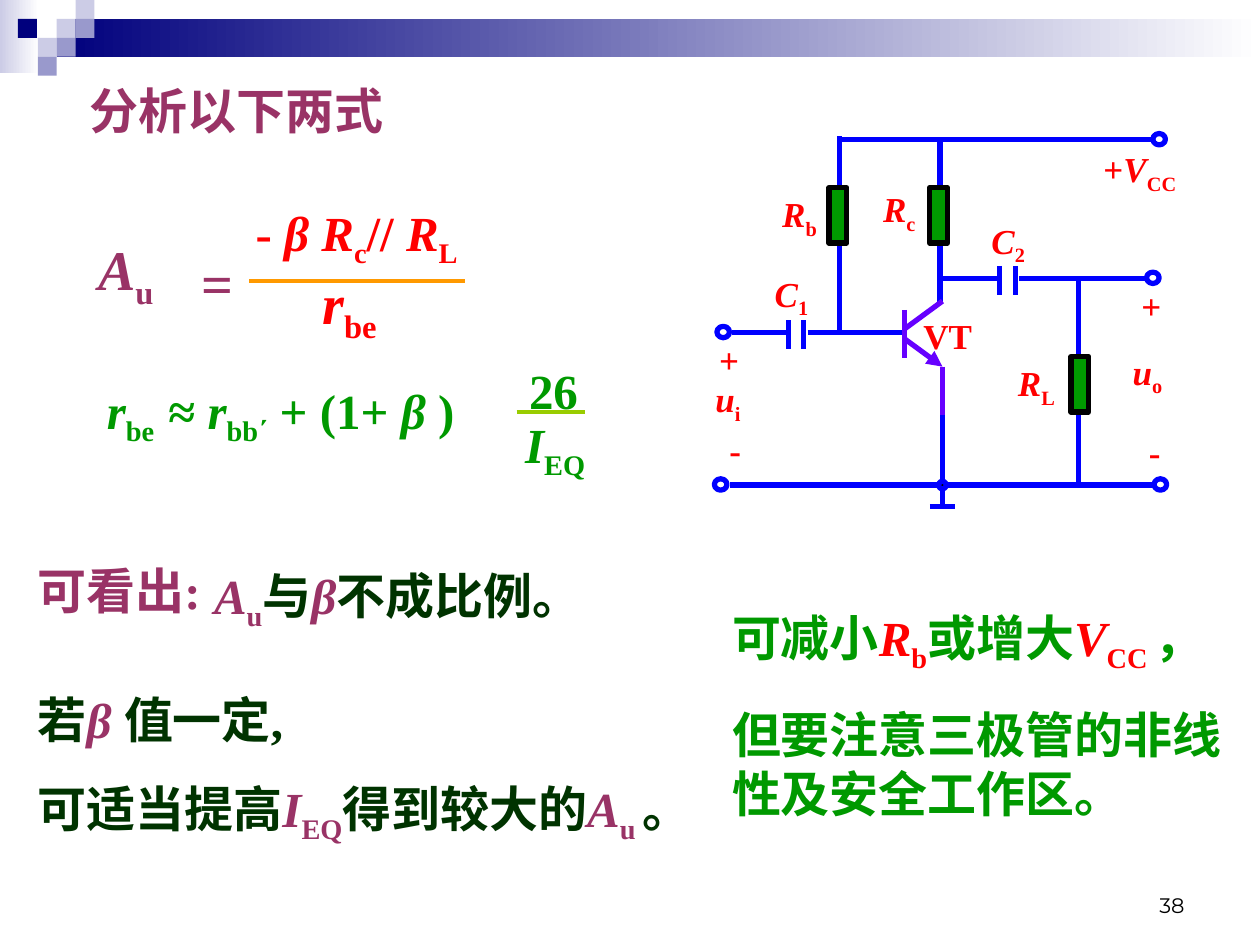
from lxml.etree import SubElement
from pptx import Presentation
from pptx.dml.color import RGBColor
from pptx.enum.shapes import MSO_CONNECTOR, MSO_SHAPE
from pptx.enum.text import MSO_ANCHOR, MSO_AUTO_SIZE, PP_ALIGN
from pptx.oxml.ns import qn
from pptx.util import Inches, Pt

COLORS = {
    "navy": "00007D", "lavender": "CCCCE6", "periwinkle": "9999CC",
    "white": "FFFFFF", "black": "000000", "plum": "993366", "red": "FF0000",
    "orange": "FF9900", "green": "009900", "lime": "99CC00",
    "forest": "003300", "blue": "0000FF", "violet": "6600FF",
}
SLIDE_WIDTH, SLIDE_HEIGHT = Inches(10), Inches(7.5)
COLUMN, ROW = SLIDE_WIDTH / 100, SLIDE_HEIGHT / 75
ITALIC = {"italic": True}
SUB = {"lowered": True}


def color(name):
    return RGBColor.from_string(COLORS[name])


def place(box, column, row):
    return round((box[0] + column) * COLUMN), round((box[1] + row) * ROW)


def frame(box, at):
    return *place(box, *at[:2]), round(at[2] * COLUMN), round(at[3] * ROW)


def add_span(para, text, size=28, ink="black", font="Times New Roman",
             bold=True, italic=False, lowered=False):
    span = para.add_run()
    span.text = text
    span.font.name = font
    span.font.size = Pt(size)
    span.font.bold = bold
    span.font.italic = italic
    span.font.color.rgb = color(ink)
    if lowered:
        span._r.get_or_add_rPr().set("baseline", "-25000")


def fill_text(shape, paragraphs, align=PP_ALIGN.LEFT, anchor=MSO_ANCHOR.TOP, **style):
    text_frame = shape.text_frame
    text_frame.word_wrap = True
    text_frame.auto_size = MSO_AUTO_SIZE.NONE
    text_frame.vertical_anchor = anchor
    for index, spans in enumerate(paragraphs):
        para = text_frame.add_paragraph() if index else text_frame.paragraphs[0]
        properties = para._p.get_or_add_pPr()
        properties.set("marL", "0")
        properties.set("indent", "0")
        SubElement(properties, qn("a:buNone"))
        para.alignment = align
        para.space_before = Pt(17.5 if index else 0)
        for text, changes in spans:
            add_span(para, text, **{**style, **changes})


def add_text(page, box, at, spans, **style):
    fill_text(page.shapes.add_textbox(*frame(box, at)), [spans], **style)


def fill_placeholder(shape, box, paragraphs, **style):
    shape.left, shape.top, shape.width, shape.height = frame((0, 0), box)
    fill_text(shape, paragraphs, **style)


def add_block(page, box, at, kind=MSO_SHAPE.RECTANGLE, fill=None, fade=False, edge=None):
    block = page.shapes.add_shape(kind, *frame(box, at))
    block.shadow.inherit = False
    if fade:
        block.fill.gradient()
        block.fill.gradient_angle = 0
        for stop, name in zip(block.fill.gradient_stops, (fill, "white")):
            stop.color.rgb = color(name)
    elif fill:
        block.fill.solid()
        block.fill.fore_color.rgb = color(fill)
    else:
        block.fill.background()
    if edge:
        block.line.color.rgb = color(edge)
        block.line.width = Pt(3)
    else:
        block.line.fill.background()


def add_line(page, box, ends, ink="blue", width=3, arrow=False):
    start, end = place(box, *ends[:2]), place(box, *ends[2:])
    line = page.shapes.add_connector(MSO_CONNECTOR.STRAIGHT, *start, *end)
    line.line.color.rgb = color(ink)
    line.line.width = Pt(width)
    properties = line._element.spPr
    if arrow:
        SubElement(properties.find(qn("a:ln")), qn("a:tailEnd"), type="triangle")
    SubElement(properties, qn("a:effectLst"))


def draw_header(page, box):
    tile = 1.5
    add_block(page, box, (0, 0, 3.1, 5.8), fill="lavender", fade=True)
    add_block(page, box, (3 * tile, tile, 95.5, 2 * tile), fill="navy", fade=True)
    tiles = [(3, 1, "lavender"), (4, 0, "lavender"), (4, 1, "periwinkle"),
             (2, 2, "lavender"), (0.95, 1, "navy"), (3, 2, "periwinkle"),
             (2, 3, "periwinkle")]
    for column, row, name in tiles:
        add_block(page, box, (column * tile, row * tile, tile, tile), fill=name)


def draw_gain_formula(page, box):
    add_text(page, box, (0, 2.5, 8.2, 7.1), [("A", ITALIC), ("u", SUB)], size=32, ink="plum")
    add_text(page, box, (8.2, 3.6, 5, 6.4), [("=", {})], size=32, ink="plum")
    add_text(page, box, (12.5, 0, 22.8, 6.3),
             [("- ", {}), ("β R", ITALIC), ("c", SUB), ("// ", {}), ("R", ITALIC), ("L", SUB)],
             ink="red")
    add_text(page, box, (17.8, 5.2, 8.4, 7.1), [("r", ITALIC), ("be", SUB)], size=32, ink="red")
    add_line(page, box, (13, 6.7, 30.1, 6.7), ink="orange", width=2.25)


def draw_resistance_formula(page, box):
    add_text(page, box, (0, 1.6, 35.7, 6.3),
             [("r", ITALIC), ("be  ", SUB), ("≈ ", {}), ("r", ITALIC), ("bb΄", SUB),
              (" + (1+ ", {}), ("β", ITALIC), (" )", {})], ink="green")
    add_text(page, box, (33.5, 0, 6.1, 5.7), [("26", {})], ink="green")
    add_text(page, box, (33.2, 4.3, 7.7, 6.3), [("I", ITALIC), ("EQ", SUB)], ink="green")
    add_line(page, box, (33.5, 4.6, 38.9, 4.6), ink="lime", width=2.25)


def draw_circuit(page, box):
    wires = [
        (11.6, 0.8, 11.6, 16.6), (19.6, 14.1, 19.6, 1.1), (30.6, 12, 30.6, 28.6),
        (25.9, 12.1, 36.2, 12.1), (19.8, 12.1, 24.1, 12.1), (11.6, 1.1, 36.6, 1.1),
        (2.9, 28.5, 36.7, 28.5), (9.1, 16.4, 16.8, 16.4), (7.6, 16.4, 3.1, 16.4),
        (19.8, 21.6, 19.8, 30), (18.8, 30.2, 20.8, 30.2),
    ]
    plates = [(24.3, 11.1), (25.6, 11.1), (7.6, 15.4), (8.8, 15.4)]
    for ends in wires + [(column, row, column, row + 2.3) for column, row in plates]:
        add_line(page, box, ends)
    transistor = [(19.8, 19.1, 19.8, 22.9), (16.8, 14.6, 16.8, 18.4), (16.8, 16.1, 19.8, 13.9)]
    for ends in transistor:
        add_line(page, box, ends, ink="violet")
    add_line(page, box, (16.8, 16.9, 19.8, 19.1), ink="violet", arrow=True)
    for column, row in [(10.8, 4.9), (18.8, 4.9), (30, 18.3)]:
        add_block(page, box, (column, row, 1.4, 4.4), fill="green", edge="black")
    for column, row in [(36, 11.6), (36.5, 0.6), (1.7, 28), (36.6, 28), (1.9, 15.9)]:
        add_block(page, box, (column, row, 1, 0.9), kind=MSO_SHAPE.OVAL, edge="blue")
    add_block(page, box, (19.5, 28.2, 0.6, 0.6), kind=MSO_SHAPE.OVAL, fill="black", edge="blue")
    symbols = [
        (6.1, 4.8, "R", "b"), (14.1, 4.4, "R", "c"), (24.8, 18.2, "R", "L"),
        (5.5, 11.1, "C", "1"), (22.7, 6.9, "C", "2"), (0.8, 19.5, "u", "i"),
        (33.9, 17.3, "u", "o"),
    ]
    for column, row, letter, index in symbols:
        add_text(page, box, (column, row, 5.8, 4.8),
                 [(letter, ITALIC), (index, SUB)], size=20, ink="red")
    signs = [(17.3, 14.5, "VT"), (1.1, 16.4, "+"), (1.9, 23.5, "-"),
             (34.6, 12.1, "+"), (35.2, 23.7, "-")]
    for column, row, sign in signs:
        add_text(page, box, (column, row, 8.3, 4.4), [(sign, {})], size=20, ink="red")
    add_text(page, box, (31.6, 1.2, 9.3, 4.8),
             [("+", {}), ("V", ITALIC), ("CC", SUB)], size=20, ink="red")


def write_finding(page, box):
    dark = {"ink": "forest"}
    add_text(page, box, (14, 0.4, 33.5, 6.3),
             [("A", ITALIC), ("u", SUB), ("与", dark), ("β", ITALIC), ("不成比例。", dark)],
             ink="plum")
    add_text(page, box, (0, 0, 16.7, 5.7), [("可看出:", {})], ink="plum")


def write_advice(shape, box):
    dark = {"ink": "forest"}
    fill_placeholder(shape, box, [
        [("若", dark), ("β ", ITALIC), ("值一定,", dark)],
        [("可适当提高", dark), ("I", ITALIC), ("EQ", SUB), ("得到较大的", dark),
         ("A", ITALIC), ("u ", SUB), ("。", dark)],
    ], ink="plum")


def write_caution(shape, box):
    red_italic, red_sub = {**ITALIC, "ink": "red"}, {**SUB, "ink": "red"}
    fill_placeholder(shape, box, [
        [("可减小", {}), ("R", red_italic), ("b", red_sub), ("或增大", {}),
         ("V", red_italic), ("CC ", red_sub), ("，", {})],
        [("但要注意三极管的非线性及安全工作区。", {})],
    ], ink="green")


def main():
    deck = Presentation()
    deck.slide_width, deck.slide_height = SLIDE_WIDTH, SLIDE_HEIGHT
    page = deck.slides.add_slide(deck.slide_layouts[3])
    title, advice, caution = page.placeholders
    draw_header(page, (0, 0))
    fill_placeholder(title, (6.1, 5.9, 32.9, 5.7), [[("分析以下两式", {})]], ink="plum")
    draw_gain_formula(page, (6.8, 15.6))
    draw_resistance_formula(page, (7.5, 28.1))
    draw_circuit(page, (55, 10))
    write_finding(page, (2, 44))
    write_advice(advice, (2, 54.2, 58.9, 13.4))
    write_caution(caution, (57.1, 47.7, 42.9, 18.1))
    add_text(page, (0, 0), (71.7, 68.3, 23.3, 5), [("38", {})], size=12,
             font="Montserrat", bold=False, align=PP_ALIGN.RIGHT, anchor=MSO_ANCHOR.BOTTOM)
    deck.save("out.pptx")


if __name__ == "__main__":
    main()
